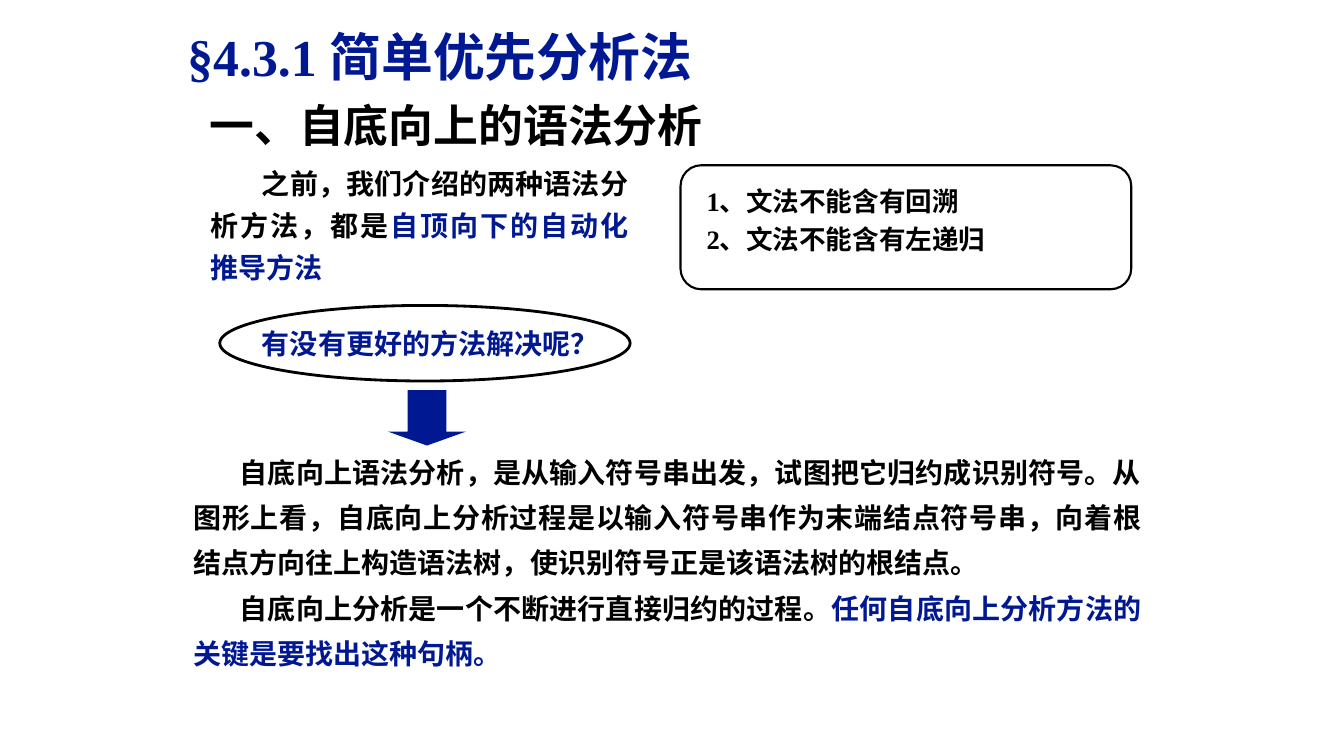
from dataclasses import dataclass

import pptx
import pptx.dml.color
import pptx.enum.shapes
import pptx.enum.text
import pptx.shapes.autoshape
import pptx.slide
import pptx.util

EMU_PER_PX = 9144  # 100 px to the inch
SHAPE = pptx.enum.shapes.MSO_SHAPE
ALIGN = pptx.enum.text.PP_ALIGN
AUTO_SIZE = pptx.enum.text.MSO_AUTO_SIZE


@dataclass(frozen=True)
class Theme:
    black: str = "000000"
    blue: str = "011893"
    serif: str = "Times New Roman"
    sans: str = "Arial"
    title: int = 37
    heading: int = 32
    body: int = 20
    item: int = 19


THEME = Theme()


@dataclass(frozen=True)
class Area:
    left: int
    top: int
    width: int
    height: int


@dataclass(frozen=True)
class Span:
    text: str
    color: str = THEME.black


@dataclass(frozen=True)
class TextBlock:
    area: Area
    paras: tuple[tuple[Span, ...], ...]
    size: int
    font: str
    line_spacing: float = 1.0
    first_indent: int = 0
    align: ALIGN = ALIGN.LEFT
    wrap: bool = True
    grow: bool = True


@dataclass(frozen=True)
class Figure:
    kind: SHAPE
    area: Area
    adjustments: tuple[float, ...] = ()
    line_width: float = 0
    fill: str = ""


FIGURES = (
    Figure(SHAPE.ROUNDED_RECTANGLE, Area(675, 164, 447, 123), (0.167,), line_width=1.5),
    Figure(SHAPE.OVAL, Area(218, 303, 407, 75), line_width=2),
    Figure(SHAPE.DOWN_ARROW, Area(385, 387, 77, 55), (0.5, 0.25), fill=THEME.blue),
)

TEXT_BLOCKS = (
    TextBlock(
        Area(176, 7, 967, 86),
        ((Span("§4.3.1 简单优先分析法", THEME.blue),),),
        THEME.title, THEME.serif, line_spacing=1.2, grow=False,
    ),
    TextBlock(
        Area(198, 65, 511, 90),
        ((Span("一、自底向上的语法分析"),),),
        THEME.heading, THEME.serif, line_spacing=1.5, wrap=False,
    ),
    TextBlock(
        Area(199, 152, 434, 135),
        ((
            Span("之前，我们介绍的两种语法分析方法，都是"),
            Span("自顶向下的自动化推导方法", THEME.blue),
        ),),
        THEME.body, THEME.serif, line_spacing=1.25, first_indent=51, align=ALIGN.JUSTIFY,
    ),
    TextBlock(
        Area(691, 172, 420, 84),
        (
            (Span("1、文法不能含有回溯"),),
            (Span("2、文法不能含有左递归"),),
        ),
        THEME.item, THEME.serif, line_spacing=1.2,
    ),
    TextBlock(
        Area(250, 319, 363, 43),
        ((Span("有没有更好的方法解决呢？", THEME.blue),),),
        THEME.body, THEME.sans,
    ),
    TextBlock(
        Area(182, 435, 960, 237),
        (
            (Span(
                "自底向上语法分析，是从输入符号串出发，试图把它归约成识别符号。"
                "从图形上看，自底向上分析过程是以输入符号串作为末端结点符号串，"
                "向着根结点方向往上构造语法树，使识别符号正是该语法树的根结点。"
            ),),
            (
                Span("自底向上分析是一个不断进行直接归约的过程。"),
                Span("任何自底向上分析方法的关键是要找出这种句柄。", THEME.blue),
            ),
        ),
        THEME.body, THEME.sans, line_spacing=1.35, first_indent=46, align=ALIGN.JUSTIFY,
    ),
)


def px(length: int) -> pptx.util.Emu:
    return pptx.util.Emu(length * EMU_PER_PX)


def corners(area: Area) -> tuple[pptx.util.Emu, ...]:
    """Return left, top, width and height in EMU."""
    return px(area.left), px(area.top), px(area.width), px(area.height)


def rgb(color: str) -> pptx.dml.color.RGBColor:
    return pptx.dml.color.RGBColor.from_string(color)


def draw_figure(page: pptx.slide.Slide, figure: Figure) -> None:
    shape = page.shapes.add_shape(figure.kind, *corners(figure.area))
    shape.shadow.inherit = False
    for index, value in enumerate(figure.adjustments):
        shape.adjustments[index] = value
    if figure.fill:
        shape.fill.solid()
        shape.fill.fore_color.rgb = rgb(figure.fill)
    else:
        shape.fill.background()
    if figure.line_width:
        shape.line.color.rgb = rgb(THEME.black)
        shape.line.width = pptx.util.Pt(figure.line_width)
    else:
        shape.line.fill.background()


def draw_text(page: pptx.slide.Slide, block: TextBlock) -> None:
    box = page.shapes.add_textbox(*corners(block.area))
    frame = box.text_frame
    frame.word_wrap = block.wrap
    frame.auto_size = AUTO_SIZE.SHAPE_TO_FIT_TEXT if block.grow else AUTO_SIZE.NONE
    for index, spans in enumerate(block.paras):
        para = frame.add_paragraph() if index else frame.paragraphs[0]
        para.alignment = block.align
        para.line_spacing = block.line_spacing
        if block.first_indent:
            properties = para._p.get_or_add_pPr()
            properties.set("marL", "0")
            properties.set("indent", str(px(block.first_indent)))
        for span in spans:
            run = para.add_run()
            run.text = span.text
            run.font.name = block.font
            run.font.size = pptx.util.Pt(block.size)
            run.font.bold = True
            run.font.color.rgb = rgb(span.color)


def main() -> None:
    deck = pptx.Presentation()
    deck.slide_width, deck.slide_height = px(1333), px(750)
    page = deck.slides.add_slide(deck.slide_layouts[6])
    for figure in FIGURES:
        draw_figure(page, figure)
    for block in TEXT_BLOCKS:
        draw_text(page, block)
    deck.save("out.pptx")


if __name__ == "__main__":
    main()
